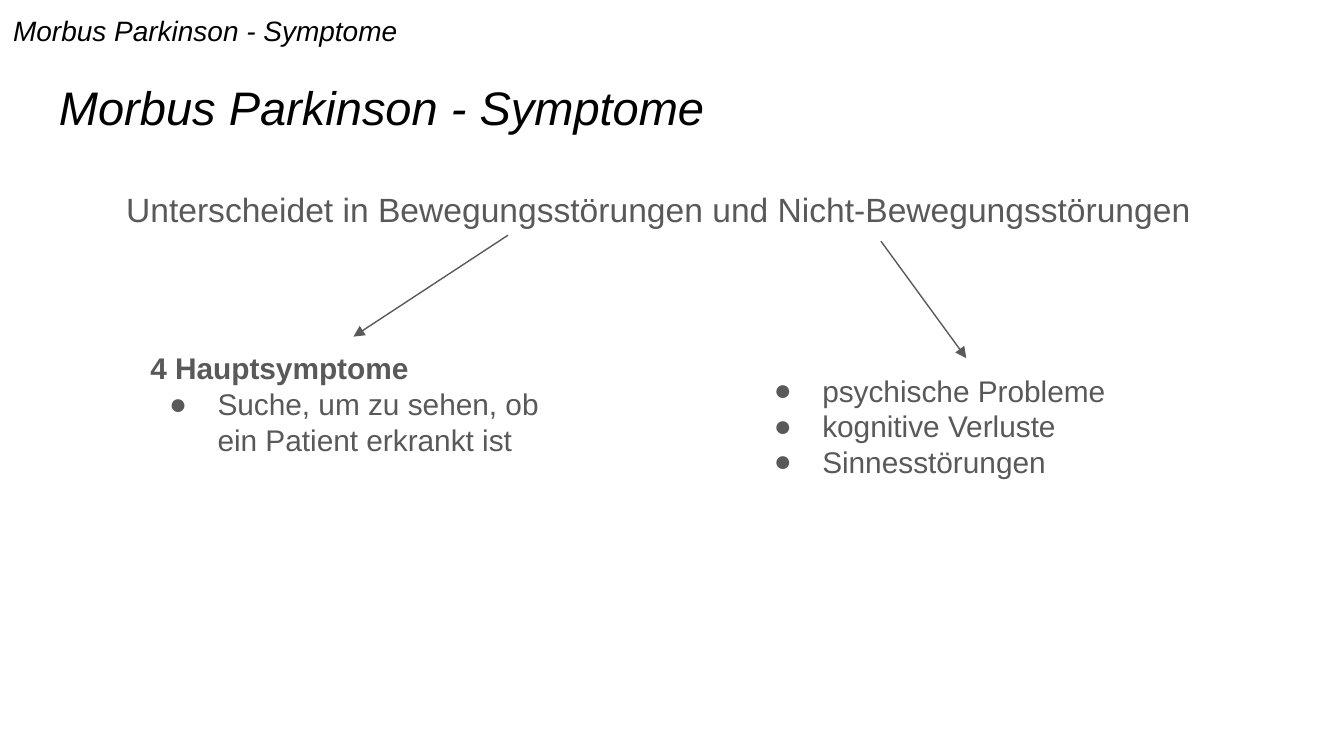
from dataclasses import dataclass

import lxml.etree
import pptx
import pptx.dml.color
import pptx.enum.shapes
import pptx.oxml.ns
import pptx.util

PX = 4572  # EMU per px, 200 px to the inch
INSET = 20
INDENT = 100
HANGING = 72
FONT = "Arial"
BLACK = pptx.dml.color.RGBColor(0x00, 0x00, 0x00)
GREY = pptx.dml.color.RGBColor(0x59, 0x59, 0x59)
TITLE = "Morbus Parkinson - Symptome"


@dataclass
class Line:
    text: str
    size: float
    color: pptx.dml.color.RGBColor = GREY
    bold: bool = False
    italic: bool = False
    bullet: bool = False
    indent: int = 0
    spacing: float = 1.0
    after: int = 0


@dataclass
class Box:
    left: int
    top: int
    width: int
    height: int
    lines: list[Line]


@dataclass
class Arrow:
    x1: int
    y1: int
    x2: int
    y2: int


def px(n: int) -> pptx.util.Emu:
    return pptx.util.Emu(n * PX)


def add_child(parent, tag: str, **attributes: str):
    child = lxml.etree.SubElement(parent, pptx.oxml.ns.qn(tag))
    for name, value in attributes.items():
        child.set(name, value)
    return child


def bullet_line(text: str) -> Line:
    return Line(text, 16, bullet=True, indent=INDENT)


def write_line(p, line: Line) -> None:
    p.line_spacing = line.spacing
    p.space_after = pptx.util.Pt(line.after)
    pPr = p._p.get_or_add_pPr()
    pPr.set("marL", str(px(line.indent)))
    if line.bullet:
        pPr.set("indent", str(px(-HANGING)))
        add_child(add_child(pPr, "a:buClr"), "a:srgbClr", val=str(line.color))
        add_child(pPr, "a:buFont", typeface=FONT)
        add_child(pPr, "a:buChar", char="●")
    p.font.name = FONT
    p.font.size = pptx.util.Pt(line.size)
    p.font.bold = line.bold
    p.font.italic = line.italic
    p.font.color.rgb = line.color
    p.add_run().text = line.text


def draw_box(s, box: Box) -> None:
    sp = s.shapes.add_textbox(px(box.left), px(box.top), px(box.width), px(box.height))
    tf = sp.text_frame
    tf.word_wrap = True
    tf.margin_left = tf.margin_top = tf.margin_right = tf.margin_bottom = px(INSET)
    for i, line in enumerate(box.lines):
        write_line(tf.add_paragraph() if i else tf.paragraphs[0], line)


def draw_arrow(s, arrow: Arrow) -> None:
    sp = s.shapes.add_connector(
        pptx.enum.shapes.MSO_CONNECTOR.STRAIGHT,
        px(arrow.x1), px(arrow.y1), px(arrow.x2), px(arrow.y2),
    )
    sp.line.color.rgb = GREY
    sp.line.width = pptx.util.Pt(0.75)
    spPr = sp._element.spPr
    add_child(spPr.find(pptx.oxml.ns.qn("a:ln")), "a:tailEnd", type="triangle")
    add_child(spPr, "a:effectLst")


BOXES = [
    Box(68, 97, 1864, 126, [Line(TITLE, 25.2, BLACK, italic=True)]),
    Box(68, 252, 1864, 748, [
        Line("Unterscheidet in Bewegungsstörungen und Nicht-Bewegungsstörungen",
             18, indent=INDENT, spacing=1.15, after=12),
    ]),
    Box(0, 0, 694, 90, [Line(TITLE, 15, BLACK, italic=True)]),
    Box(204, 501, 644, 302, [
        Line("4 Hauptsymptome", 16, bold=True),
        bullet_line("Suche, um zu sehen, ob ein Patient erkrankt ist"),
    ]),
    Box(1104, 534, 668, 186, [
        bullet_line(text)
        for text in ("psychische Probleme", "kognitive Verluste", "Sinnesstörungen")
    ]),
]
ARROWS = [Arrow(756, 350, 526, 501), Arrow(1311, 359, 1438, 533)]


def main() -> None:
    prs = pptx.Presentation()
    prs.slide_width, prs.slide_height = px(2000), px(1125)
    s = prs.slides.add_slide(prs.slide_layouts[6])
    for box in BOXES:
        draw_box(s, box)
    for arrow in ARROWS:
        draw_arrow(s, arrow)
    prs.save("out.pptx")


if __name__ == "__main__":
    main()
